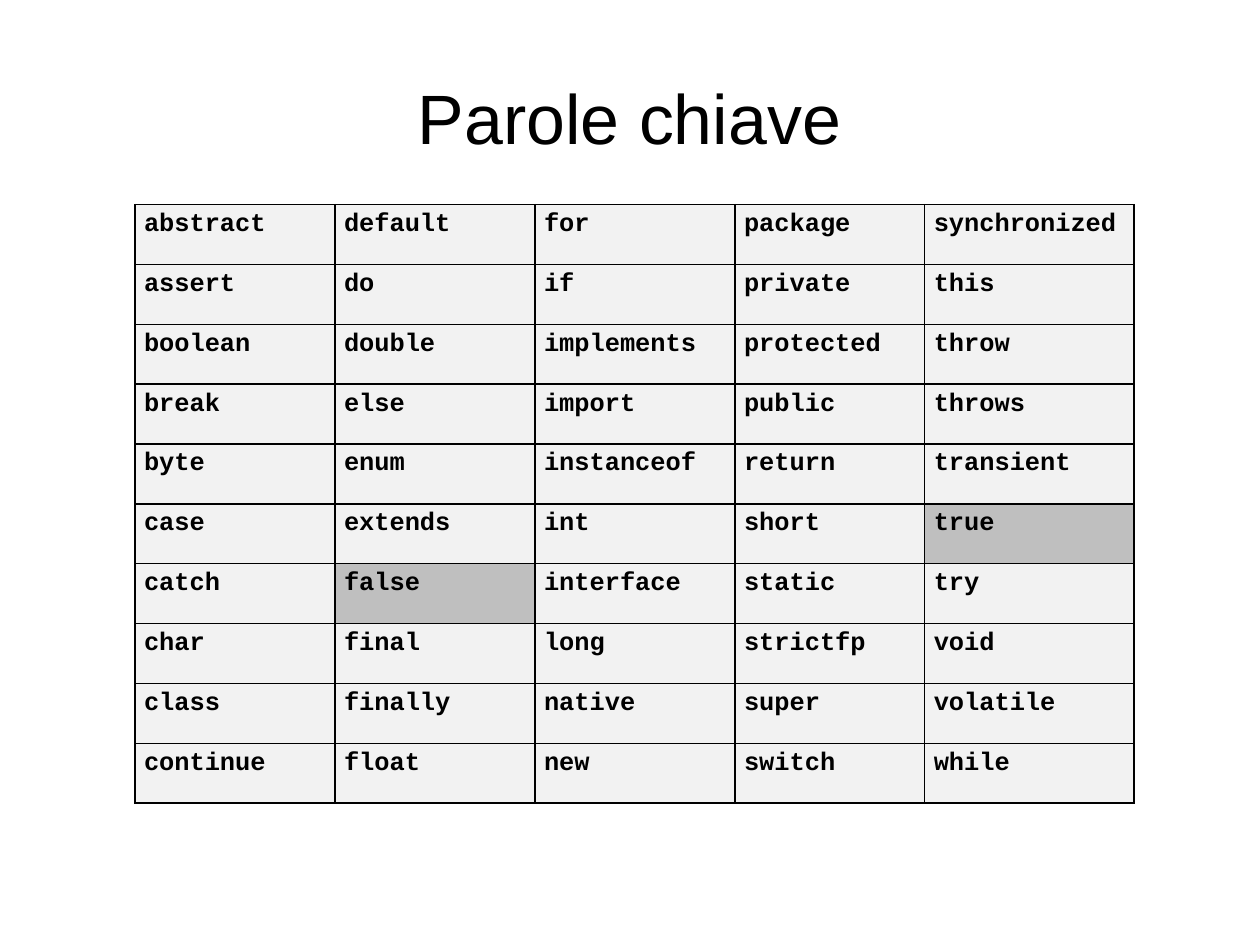
from lxml.etree import SubElement
from pptx import Presentation
from pptx.dml.color import RGBColor
from pptx.enum.text import MSO_ANCHOR as Anchor, PP_ALIGN as Align
from pptx.oxml.ns import qn
from pptx.util import Cm, Inches, Pt

BLACK = RGBColor(0x00, 0x00, 0x00)
LIGHT_GRAY = RGBColor(0xF2, 0xF2, 0xF2)
MID_GRAY = RGBColor(0xBF, 0xBF, 0xBF)

KEYWORD_COLUMNS = [
    "abstract assert boolean break byte case catch char class continue".split(),
    "default do double else enum extends false final finally float".split(),
    "for if implements import instanceof int interface long native new".split(),
    "package private protected public return short static strictfp super switch".split(),
    "synchronized this throw throws transient true try void volatile while".split(),
]
COLUMN_WIDTHS = [1.75, 1.75, 1.75, 1.66, 1.83]
LITERALS = {"true", "false"}


def format_text(frame, margins, font_name, size, bold=False):
    """Set the margins and font of a single-paragraph text frame or cell."""
    frame.margin_left = frame.margin_right = Inches(margins[0])
    frame.margin_top = frame.margin_bottom = Inches(margins[1])
    text_frame = getattr(frame, "text_frame", frame)
    para = text_frame.paragraphs[0]
    para.font.name = font_name
    para.font.size = Pt(size)
    para.font.bold = bold
    para.font.color.rgb = BLACK
    return para


def add_title(page, left, top, width, height):
    """Place the centred slide title in its box."""
    title = page.shapes.title
    title.left, title.top = Inches(left), Inches(top)
    title.width, title.height = Inches(width), Inches(height)
    frame = title.text_frame
    frame.text = "Parole chiave"
    frame.vertical_anchor = Anchor.MIDDLE
    format_text(frame, (0, 0), "Arial", 44).alignment = Align.CENTER


def add_borders(cell):
    """Draw a thin black line on the four sides of a cell."""
    properties = cell._tc.get_or_add_tcPr()
    for side in ("lnL", "lnR", "lnT", "lnB"):
        line = SubElement(properties, qn(f"a:{side}"), w=str(Pt(1.08)))
        fill = SubElement(line, qn("a:solidFill"))
        SubElement(fill, qn("a:srgbClr"), val=str(BLACK))


def fill_cell(cell, keyword):
    """Write one keyword, shading the literals darker."""
    cell.text = keyword
    format_text(cell, (0.08, 0.05), "Courier New", 16, bold=True)
    add_borders(cell)
    cell.fill.solid()
    cell.fill.fore_color.rgb = MID_GRAY if keyword in LITERALS else LIGHT_GRAY


def add_keyword_table(page, left, top, height):
    """Place the keyword table, with equal rows, in its box."""
    row_count = len(KEYWORD_COLUMNS[0])
    table = page.shapes.add_table(
        row_count, len(KEYWORD_COLUMNS), Inches(left), Inches(top),
        Inches(sum(COLUMN_WIDTHS)), Inches(height)).table
    table.first_row = table.horz_banding = False
    for row in table.rows:
        row.height = Inches(height / row_count)
    for x, (keywords, width) in enumerate(zip(KEYWORD_COLUMNS, COLUMN_WIDTHS)):
        table.columns[x].width = Inches(width)
        for y, keyword in enumerate(keywords):
            fill_cell(table.cell(y, x), keyword)


def main():
    """Build the one-slide deck and save it."""
    deck = Presentation()
    deck.slide_width = Cm(28)
    deck.slide_height = Cm(21)
    page = deck.slides.add_slide(deck.slide_layouts.get_by_name("Title Only"))
    add_title(page, 0.55, 0.33, 9.92, 1.38)
    add_keyword_table(page, 1.18, 1.79, 5.24)
    deck.save("out.pptx")


if __name__ == "__main__":
    main()
